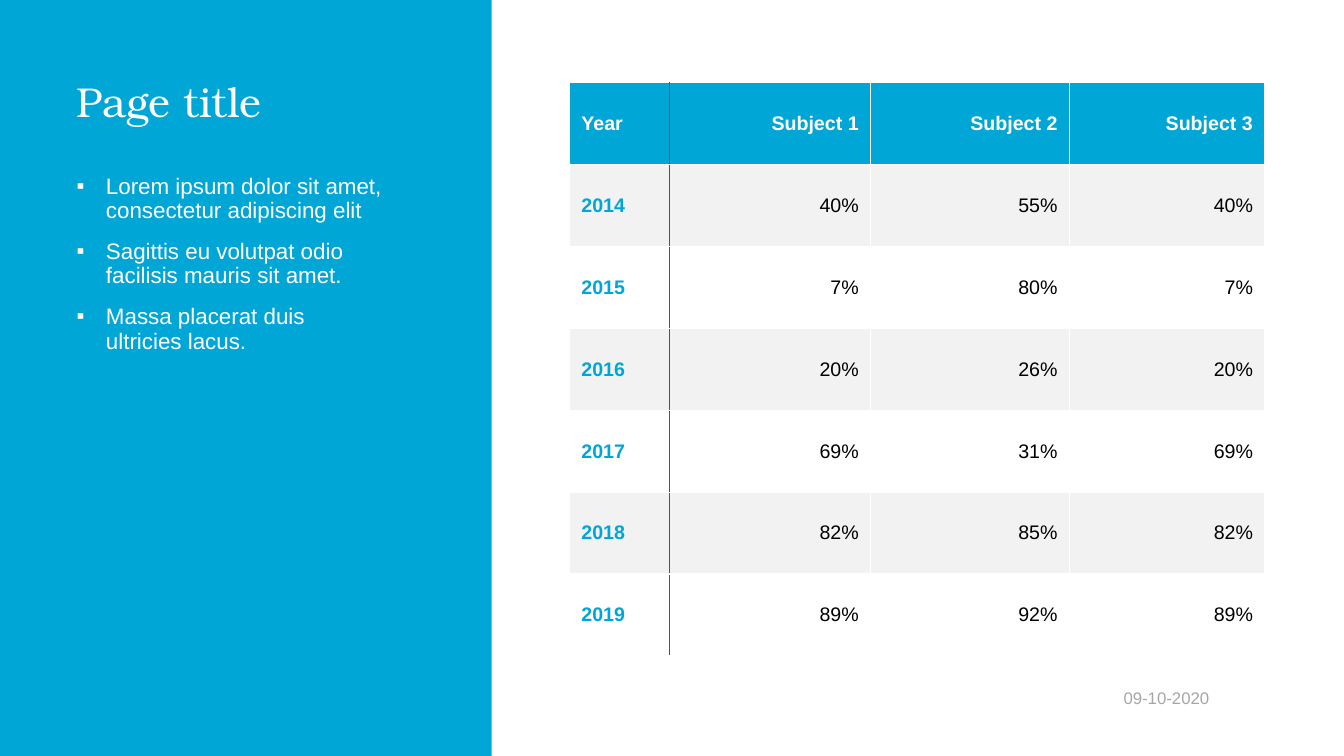
import pptx
import pptx.dml.color
import pptx.enum.shapes
import pptx.enum.text
import pptx.oxml
import pptx.oxml.ns
import pptx.util

Pt = pptx.util.Pt
ALIGN = pptx.enum.text.PP_ALIGN
ANCHOR = pptx.enum.text.MSO_ANCHOR
NAMESPACE = pptx.oxml.ns.nsdecls("a")

CYAN = "00A6D6"
TEAL = "017188"
WHITE = "FFFFFF"
BLACK = "000000"
LIGHT_GREY = "F2F2F2"
DATE_GREY = "A6A6A6"

BULLETS = [
    "Lorem ipsum dolor sit amet, consectetur adipiscing elit",
    "Sagittis eu volutpat odio\vfacilisis mauris sit amet.",
    "Massa placerat duis\vultricies lacus.",
]
RESULTS = [
    ["Year", "Subject 1", "Subject 2", "Subject 3"],
    ["2014", "40%", "55%", "40%"],
    ["2015", "7%", "80%", "7%"],
    ["2016", "20%", "26%", "20%"],
    ["2017", "69%", "31%", "69%"],
    ["2018", "82%", "85%", "82%"],
    ["2019", "89%", "92%", "89%"],
]
COLUMN_WIDTHS = [71.6, 143.6, 142, 139.6]
ROW_HEIGHT = 58.5


def color(value):
    return pptx.dml.color.RGBColor.from_string(value)


def fill(target, value):
    target.fill.solid()
    target.fill.fore_color.rgb = color(value)


def set_font(paragraph, size, value, name="Arial", bold=False):
    paragraph.font.size = Pt(size)
    paragraph.font.name = name
    paragraph.font.bold = bold
    paragraph.font.color.rgb = color(value)


def prepare_frame(frame, anchor=ANCHOR.TOP):
    frame.word_wrap = True
    frame.auto_size = pptx.enum.text.MSO_AUTO_SIZE.NONE
    frame.vertical_anchor = anchor
    frame.margin_left = frame.margin_top = 0
    frame.margin_right = frame.margin_bottom = 0


def add_panel(slide):
    panel = slide.shapes.add_shape(
        pptx.enum.shapes.MSO_SHAPE.RECTANGLE, Pt(-0.72), 0, Pt(352), Pt(540))
    panel.shadow.inherit = False
    fill(panel, CYAN)
    panel.line.fill.background()
    slide.shapes._spTree.insert(2, panel._element)


def add_title(slide, text):
    title = slide.shapes.title
    title.left, title.top, title.width, title.height = Pt(54.7), Pt(58.3), Pt(248), Pt(39)
    prepare_frame(title.text_frame)
    title.text_frame.text = text
    paragraph = title.text_frame.paragraphs[0]
    paragraph.alignment = ALIGN.LEFT
    paragraph.line_spacing = 0.9
    set_font(paragraph, 29.8, WHITE, "TeX Gyre Bonum")


def add_bullet(paragraph):
    properties = paragraph._p.get_or_add_pPr()
    properties.set("marL", str(Pt(21)))
    properties.set("indent", str(Pt(-21)))
    for markup in (
        f'<a:buClr {NAMESPACE}><a:srgbClr val="{WHITE}"/></a:buClr>',
        f'<a:buFont {NAMESPACE} typeface="Arial"/>',
        f'<a:buChar {NAMESPACE} char="▪"/>',
    ):
        properties.append(pptx.oxml.parse_xml(markup))


def add_bullet_list(slide, items):
    box = slide.shapes.add_textbox(Pt(54.7), Pt(125.3), Pt(248), Pt(342.7))
    frame = box.text_frame
    prepare_frame(frame)
    for index, item in enumerate(items):
        paragraph = frame.add_paragraph() if index else frame.paragraphs[0]
        paragraph.text = item
        add_bullet(paragraph)
        paragraph.line_spacing = 0.9
        paragraph.space_before = Pt(12 if index else 0)
        set_font(paragraph, 16, WHITE)


def add_border(cell, side):
    cell._tc.get_or_add_tcPr().insert(0, pptx.oxml.parse_xml(
        f'<a:{side} {NAMESPACE} w="{Pt(1)}"><a:solidFill>'
        f'<a:srgbClr val="{TEAL}"/></a:solidFill></a:{side}>'))


def format_cell(cell, text, row, column):
    header, year = row == 0, column == 0
    cell.text = text
    cell.vertical_anchor = ANCHOR.MIDDLE
    cell.margin_left = cell.margin_right = Pt(8.5)
    cell.margin_top = cell.margin_bottom = Pt(8.5)
    fill(cell, CYAN if header else LIGHT_GREY if row % 2 else WHITE)
    paragraph = cell.text_frame.paragraphs[0]
    paragraph.alignment = ALIGN.LEFT if year else ALIGN.RIGHT
    set_font(paragraph, 14, WHITE if header else CYAN if year else BLACK,
             bold=header or year)
    if column < 2:
        add_border(cell, "lnR" if year else "lnL")


def add_results_table(slide, rows):
    table = slide.shapes.add_table(
        len(rows), len(COLUMN_WIDTHS), Pt(406.8), Pt(59.2),
        Pt(sum(COLUMN_WIDTHS)), Pt(ROW_HEIGHT * len(rows))).table
    for column, width in zip(table.columns, COLUMN_WIDTHS):
        column.width = Pt(width)
    for row_index, values in enumerate(rows):
        table.rows[row_index].height = Pt(ROW_HEIGHT)
        for column_index, text in enumerate(values):
            format_cell(table.cell(row_index, column_index), text,
                        row_index, column_index)


def add_date(slide, text):
    box = slide.shapes.add_textbox(Pt(771), Pt(491.8), Pt(92.9), Pt(13.7))
    prepare_frame(box.text_frame, ANCHOR.MIDDLE)
    paragraph = box.text_frame.paragraphs[0]
    paragraph.text = text
    paragraph.alignment = ALIGN.RIGHT
    set_font(paragraph, 12, DATE_GREY)


def main():
    presentation = pptx.Presentation()
    presentation.slide_width = Pt(960)
    presentation.slide_height = Pt(540)
    slide = presentation.slides.add_slide(presentation.slide_layouts[5])
    add_panel(slide)
    add_title(slide, "Page title")
    add_bullet_list(slide, BULLETS)
    add_results_table(slide, RESULTS)
    add_date(slide, "09-10-2020")
    presentation.save("out.pptx")


if __name__ == "__main__":
    main()
